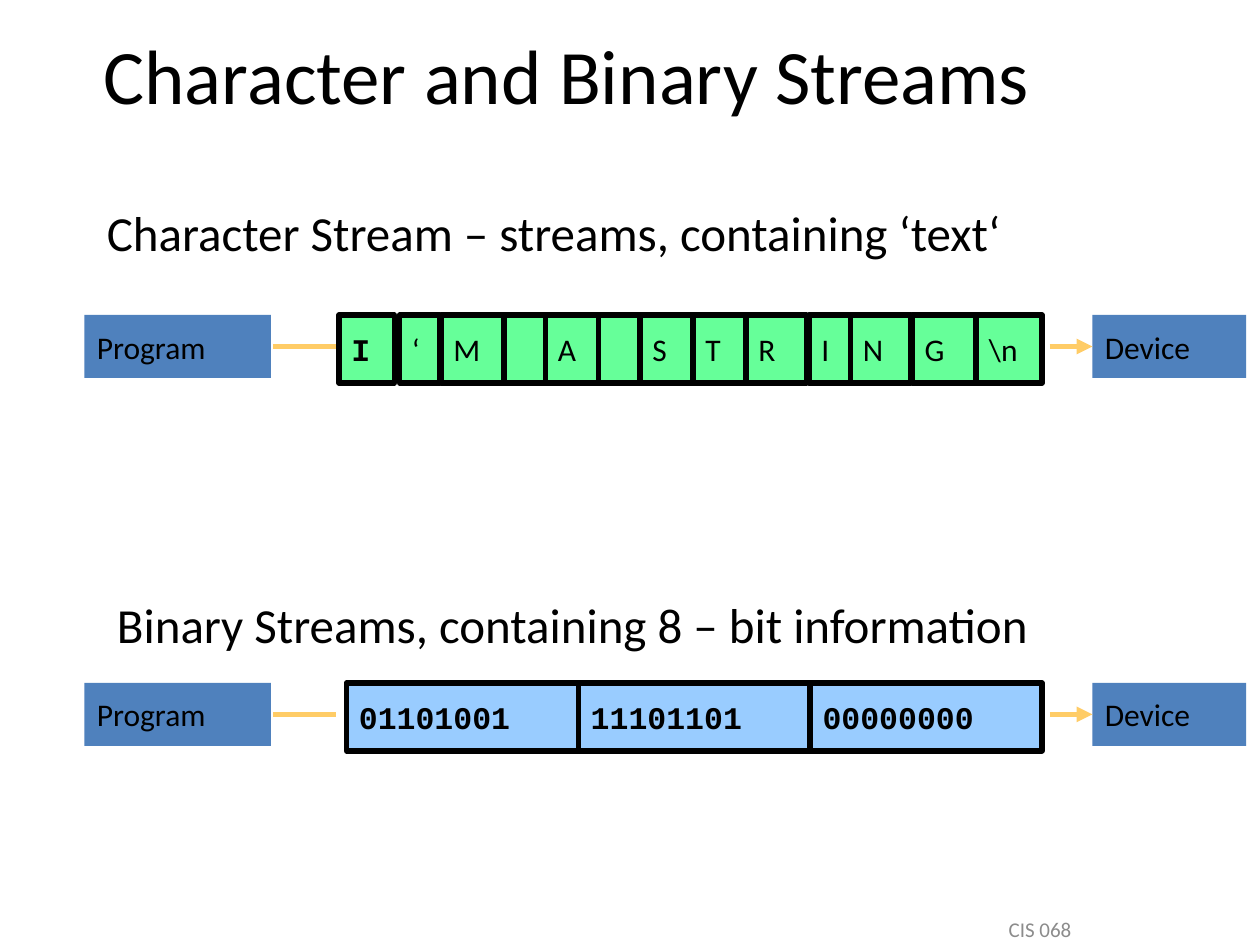
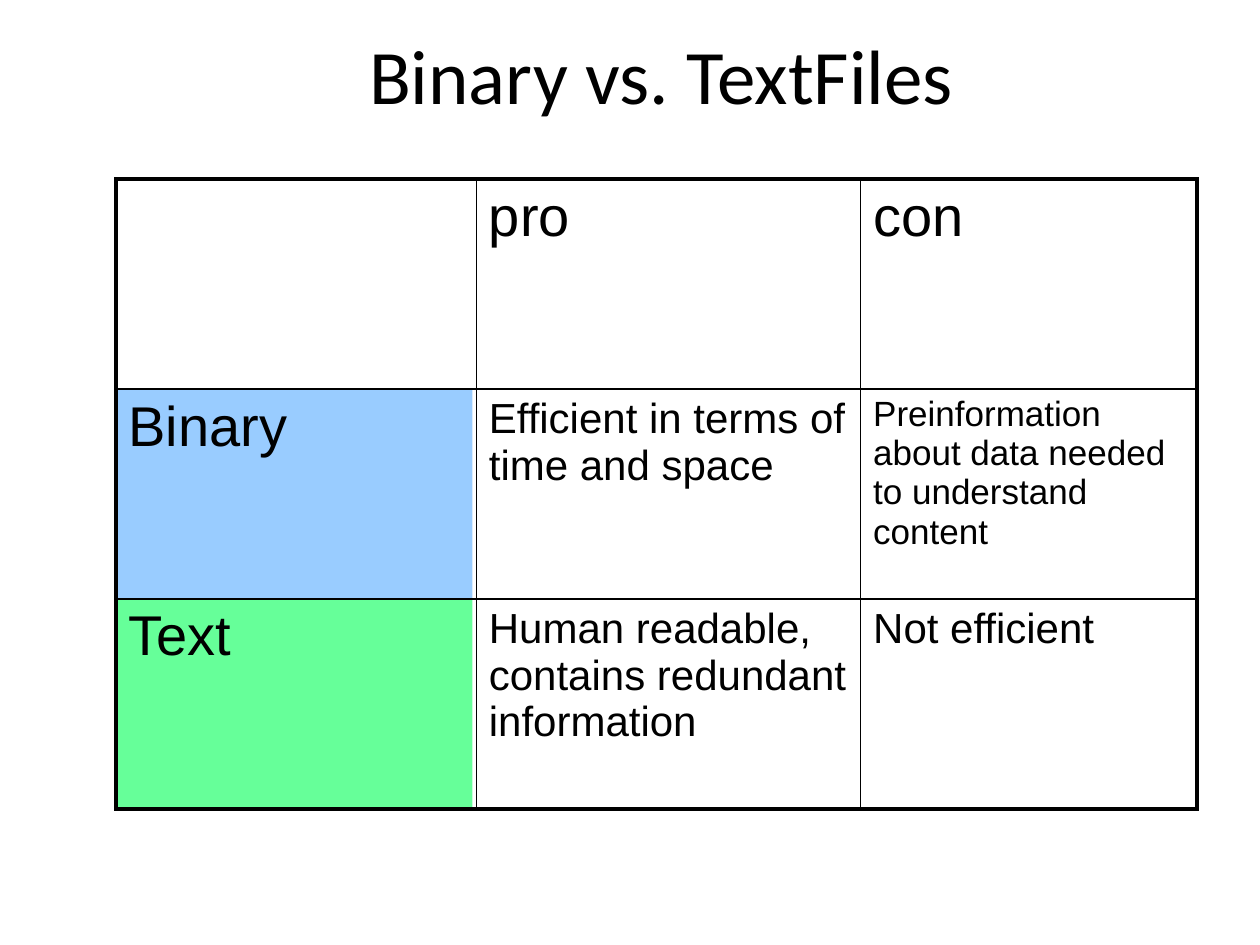
"""Build two slides on character and binary streams."""
from lxml import etree
from pptx import Presentation
from pptx.dml.color import RGBColor
from pptx.enum import shapes, text
from pptx.oxml import ns
from pptx.util import Inches, Pt

HUES = {"ink": "000000", "grey": "8C8C8C", "blue": "4F81BD",
        "sky": "99CCFF", "green": "66FF99", "gold": "FFCC66"}
MID = text.MSO_ANCHOR.MIDDLE
MONO = "Courier New"


def write(frame, words, size, font="Calibri", hue="ink", bold=False,
          center=False, anchor=None):
    frame.word_wrap = True
    frame.text = words
    if anchor is not None:
        frame.vertical_anchor = anchor
    para = frame.paragraphs[0]
    para.alignment = text.PP_ALIGN.CENTER if center else text.PP_ALIGN.LEFT
    for run in para.runs:
        run.font.size = Pt(size)
        run.font.name = font
        run.font.bold = bold
        run.font.color.rgb = RGBColor.from_string(HUES[hue])


def box(slide, left, top, width, height, fill, words="", edge=False,
        font="Calibri"):
    rect = slide.shapes.add_shape(
        shapes.MSO_SHAPE.RECTANGLE,
        Inches(left), Inches(top), Inches(width), Inches(height))
    rect.shadow.inherit = False
    rect.fill.solid()
    rect.fill.fore_color.rgb = RGBColor.from_string(HUES[fill])
    if edge:
        rect.line.color.rgb = RGBColor.from_string(HUES["ink"])
        rect.line.width = Pt(3)
    else:
        rect.line.fill.background()
    if words:
        write(rect.text_frame, words, 18, font, bold=font == MONO, anchor=MID)


deck = Presentation()
deck.slide_width, deck.slide_height = Inches(10), Inches(7.5)

pages = []
for title, width in [("Character and Binary Streams", 8),
                     ("Binary vs. TextFiles", 9.5)]:
    page = deck.slides.add_slide(deck.slide_layouts[6])
    pages.append(page)
    if title == "Binary vs. TextFiles":
        box(page, 0.92, 3.08, 2.83, 1.67, "sky")
        box(page, 0.92, 4.75, 2.83, 1.67, "green")
    head = page.shapes.add_textbox(
        Inches(0.5), Inches(0.17), Inches(width), Inches(0.83))
    write(head.text_frame, title, 44, center=True, anchor=MID)
streams, files = pages

foot = streams.shapes.add_textbox(
    Inches(6.67), Inches(7.25), Inches(3.17), Inches(0.25))
write(foot.text_frame, "CIS 068", 12, hue="grey", center=True, anchor=MID)

for words, left, top, width, height, inset in [
        ("Character Stream – streams, containing ‘text‘",
         0.75, 1.08, 9.08, 2, 0.53),
        ("Binary Streams, containing 8 – bit information",
         0.83, 4.67, 7.71, 0.57, 0.05)]:
    label = streams.shapes.add_textbox(
        Inches(left), Inches(top), Inches(width), Inches(height))
    label.text_frame.margin_top = Inches(inset)
    write(label.text_frame, words, 28)

chars = [("I", 2.69, 0.44), ("‘", 3.17, 0.32), ("M", 3.5, 0.52),
         ("", 4, 0.34), ("A", 4.33, 0.47), ("", 4.75, 0.34),
         ("S", 5.08, 0.47), ("T", 5.5, 0.45), ("R", 5.92, 0.48),
         ("I", 6.42, 0.34), ("N", 6.75, 0.48), ("G", 7.24, 0.5),
         ("\\n", 7.75, 0.52)]
for index, (char, left, width) in enumerate(chars):
    box(streams, left, 2.5, width, 0.54, "green", char, True,
        "Calibri" if index else MONO)

for index, bits in enumerate(["01101001", "11101101", "00000000"]):
    box(streams, 2.75 + index * 1.84, 5.42, 1.84, 0.54, "sky", bits, True,
        MONO)

for top in (2.5, 5.42):
    box(streams, 0.67, top, 1.48, 0.5, "blue", "Program")
    box(streams, 8.67, top, 1.22, 0.5, "blue", "Device")
    for start, end, arrow in [(2.17, 2.67, False), (8.33, 8.67, True)]:
        link = streams.shapes.add_connector(
            shapes.MSO_CONNECTOR.STRAIGHT, Inches(start), Inches(top + 0.25),
            Inches(end), Inches(top + 0.25))
        link.line.color.rgb = RGBColor.from_string(HUES["gold"])
        link.line.width = Pt(3)
        props = link._element.spPr
        if arrow:
            etree.SubElement(props.find(ns.qn("a:ln")), ns.qn("a:tailEnd"),
                             type="triangle")
        etree.SubElement(props, ns.qn("a:effectLst"))

rows = [[("", 32), ("pro", 32), ("con", 32)],
        [("Binary", 32), ("Efficient in terms of time and space", 24),
         ("Preinformation about data needed to understand content", 20)],
        [("Text", 32), ("Human readable, contains redundant information", 24),
         ("Not efficient", 24)]]
grid = files.shapes.add_table(
    3, 3, Inches(0.92), Inches(1.42), Inches(8.58), Inches(5)).table
grid.first_row = grid.horz_banding = False
for col, width in zip(grid.columns, (2.86, 3.05, 2.67)):
    col.width = Inches(width)
for r, row in enumerate(rows):
    for c, (words, size) in enumerate(row):
        cell = grid.cell(r, c)
        if words:
            write(cell.text_frame, words, size, "Arial")
        props = cell._tc.get_or_add_tcPr()
        for side, outer in [("L", c == 0), ("R", c == 2),
                            ("T", r == 0), ("B", r == 2)]:
            edge = etree.SubElement(props, ns.qn("a:ln" + side),
                                    w=str(Pt(2.25 if outer else 1)))
            fill = etree.SubElement(edge, ns.qn("a:solidFill"))
            etree.SubElement(fill, ns.qn("a:srgbClr"), val=HUES["ink"])
        cell.fill.background()

deck.save("out.pptx")
